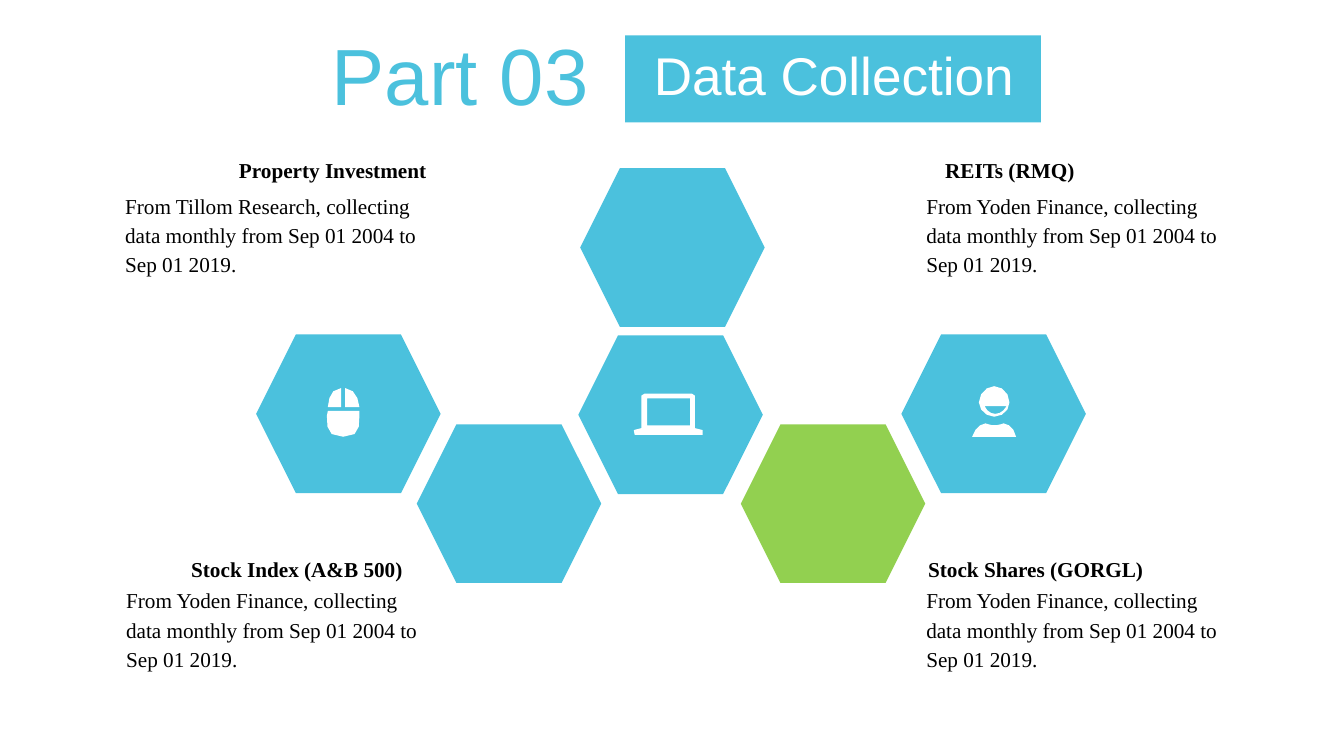
from pptx import Presentation
from pptx.dml.color import RGBColor
from pptx.enum.shapes import MSO_SHAPE as Shape
from pptx.enum.text import MSO_ANCHOR as Anchor, PP_ALIGN as Align
from pptx.util import Inches, Pt

BLUE = RGBColor(0x4B, 0xC1, 0xDD)
GREEN = RGBColor(0x92, 0xD0, 0x50)
WHITE = RGBColor(0xFF, 0xFF, 0xFF)
BLACK = RGBColor(0, 0, 0)
CURVE_STEPS = 3

HEXAGONS = [
    (6.07, 1.76, BLUE),
    (7.75, 4.44, GREEN),
    (4.36, 4.44, BLUE),
    (6.05, 3.51, BLUE),
    (2.68, 3.5, BLUE),
    (9.43, 3.5, BLUE),
]

LAPTOP = [
    [(7.27, 4.48), (7.27, 4.14), (7.24, 4.12), (6.74, 4.12), (6.71, 4.14),
     (6.71, 4.48), (6.63, 4.5), (6.64, 4.55), (7.35, 4.55), (7.35, 4.5)],
    [(7.22, 4.45), (6.77, 4.45), (6.77, 4.17), (7.22, 4.17)],
]
MOUSE = [
    [(3.76, 4.3), (3.43, 4.3), (3.42, 4.35),
     (3.42, 4.48, 3.42, 4.57, 3.59, 4.57), (3.76, 4.57, 3.76, 4.48, 3.76, 4.35)],
    [(3.61, 4.06), (3.61, 4.26), (3.76, 4.26), (3.75, 4.16, 3.71, 4.07, 3.61, 4.06)],
    [(3.57, 4.06), (3.46, 4.07, 3.44, 4.16, 3.43, 4.26), (3.57, 4.26)],
]
HEAD = [
    [(10.4, 4.04), (10.32, 4.04, 10.24, 4.12, 10.24, 4.21),
     (10.24, 4.29, 10.32, 4.36, 10.4, 4.36), (10.49, 4.36, 10.56, 4.29, 10.56, 4.21),
     (10.56, 4.12, 10.49, 4.04, 10.4, 4.04)],
    [(10.41, 4.33), (10.37, 4.33, 10.32, 4.3, 10.3, 4.25), (10.53, 4.25),
     (10.5, 4.3, 10.46, 4.33, 10.41, 4.33)],
]
SHOULDERS = [
    [(10.5, 4.43), (10.47, 4.44, 10.44, 4.45, 10.4, 4.45),
     (10.37, 4.45, 10.34, 4.44, 10.31, 4.43), (10.25, 4.44, 10.2, 4.48, 10.17, 4.57),
     (10.63, 4.57), (10.61, 4.48, 10.56, 4.44, 10.5, 4.43)],
]

HEADINGS = [
    ("Property Investment", 2.5, 1.61, 2.05, Align.LEFT),
    ("REITs (RMQ)", 9.84, 1.61, 1.4, Align.RIGHT),
    ("Stock Index (A&B 500)", 2, 5.78, 2.45, Align.LEFT),
    ("Stock Shares (GORGL)", 9.71, 5.78, 2.55, Align.LEFT),
]
SOURCES = [
    ("Tillom Research", 1.31, 1.98),
    ("Yoden Finance", 9.69, 1.98),
    ("Yoden Finance", 1.32, 6.11),
    ("Yoden Finance", 9.69, 6.11),
]


def flatten(contour):
    points = [contour[0]]
    for segment in contour[1:]:
        if len(segment) == 2:
            points.append(segment)
            continue
        nodes = [points[-1], segment[:2], segment[2:4], segment[4:]]
        for step in range(1, CURVE_STEPS + 1):
            t = step / CURVE_STEPS
            weights = ((1 - t) ** 3, 3 * t * (1 - t) ** 2, 3 * t * t * (1 - t), t ** 3)
            points.append(tuple(
                sum(weight * node[axis] for weight, node in zip(weights, nodes))
                for axis in (0, 1)))
    return [(Inches(x), Inches(y)) for x, y in points]


class SlideBuilder:
    def __init__(self, page):
        self.shapes = page.shapes

    def paint(self, shape, color):
        shape.shadow.inherit = False
        shape.fill.solid()
        shape.fill.fore_color.rgb = color
        shape.line.fill.background()

    def block(self, kind, left, top, width, height, color):
        shape = self.shapes.add_shape(
            kind, Inches(left), Inches(top), Inches(width), Inches(height))
        self.paint(shape, color)
        return shape

    def hexagon(self, left, top, color):
        shape = self.block(Shape.HEXAGON, left, top, 1.93, 1.66, color)
        shape.adjustments[0] = 0.25

    def icon(self, contours):
        outlines = [flatten(contour) for contour in contours]
        builder = self.shapes.build_freeform(*outlines[0][0])
        for index, outline in enumerate(outlines):
            if index:
                builder.move_to(*outline[0])
            builder.add_line_segments(outline[1:], close=True)
        self.paint(builder.convert_to_shape(), WHITE)

    def text(self, words, left, top, width, height, size=16, font="Times New Roman",
             color=BLACK, bold=False, align=Align.LEFT, spacing=1.15):
        box = self.shapes.add_textbox(
            Inches(left), Inches(top), Inches(width), Inches(height))
        frame = box.text_frame
        frame.word_wrap = True
        frame.vertical_anchor = Anchor.TOP
        frame.margin_left = frame.margin_right = 0
        frame.margin_top = frame.margin_bottom = 0
        para = frame.paragraphs[0]
        para.text = words
        para.alignment = align
        para.line_spacing = spacing
        para.font.name = font
        para.font.size = Pt(size)
        para.font.bold = bold
        para.font.color.rgb = color


def main():
    deck = Presentation()
    deck.slide_width = Inches(14.06)
    deck.slide_height = Inches(7.91)
    slide = SlideBuilder(deck.slides.add_slide(deck.slide_layouts[6]))

    slide.text("Part 03", 3.47, 0.27, 2.72, 1.13, size=60, font="Arial",
               color=BLUE, spacing=1.0)
    slide.block(Shape.RECTANGLE, 6.54, 0.37, 4.35, 0.91, BLUE)
    slide.text("Data Collection", 6.84, 0.52, 3.92, 0.61, size=40, font="Arial",
               color=WHITE, spacing=0.9)

    for left, top, color in HEXAGONS:
        slide.hexagon(left, top, color)
    for contours in (LAPTOP, MOUSE, HEAD, SHOULDERS):
        slide.icon(contours)

    for words, left, top, width, align in HEADINGS:
        slide.text(words, left, top, width, 0.24, bold=True, align=align)
    for source, left, top in SOURCES:
        slide.text(f"From {source}, collecting data monthly from Sep 01 2004 to Sep 01 2019.",
                   left, top, 3.07, 1.01)

    deck.save("out.pptx")


if __name__ == "__main__":
    main()
